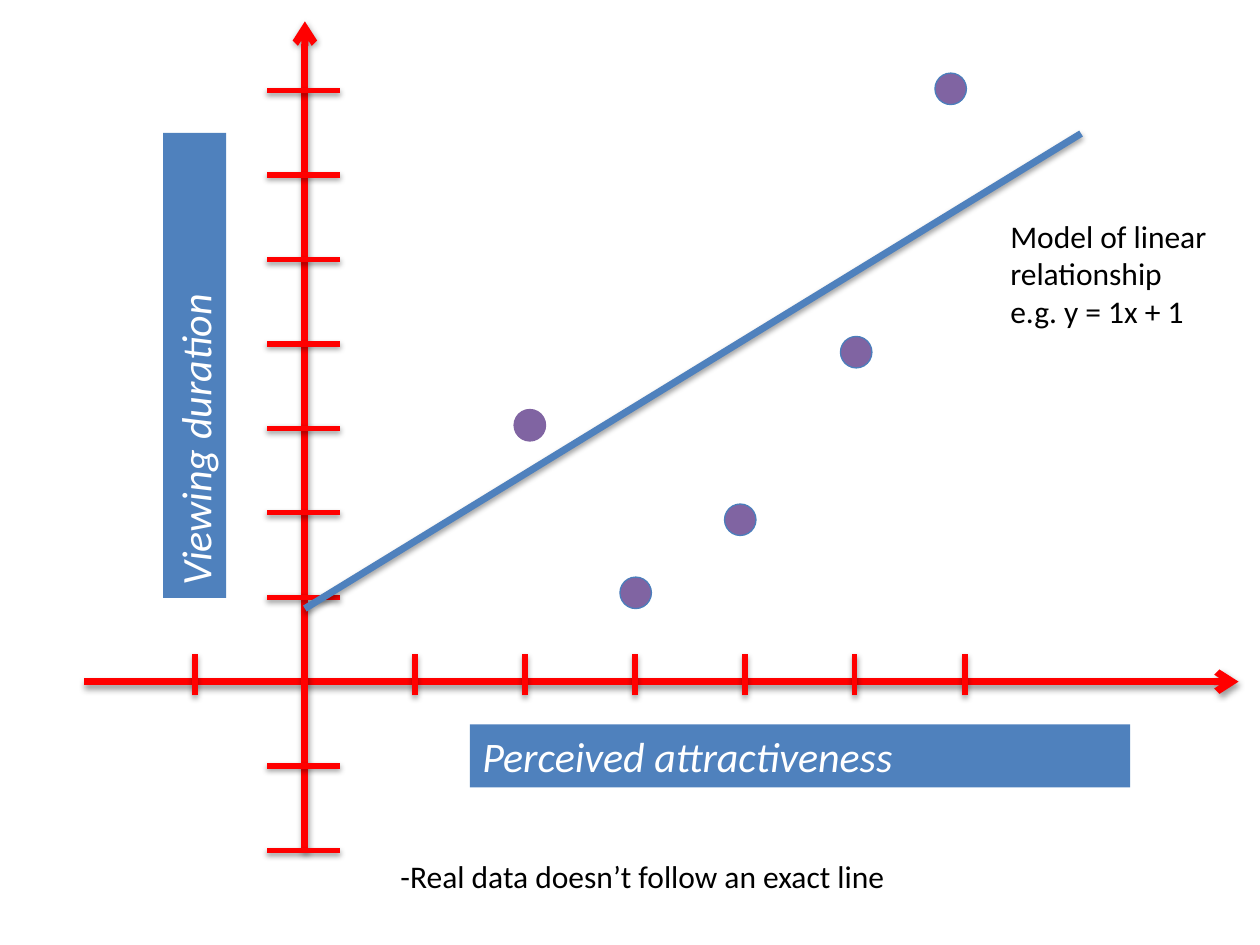
from lxml import etree
from pptx import Presentation
from pptx.dml.color import RGBColor
from pptx.enum.shapes import MSO_CONNECTOR, MSO_SHAPE
from pptx.oxml import parse_xml
from pptx.oxml.ns import nsdecls, qn
from pptx.util import Inches, Pt

RED = RGBColor(0xFF, 0x00, 0x00)
BLUE = RGBColor(0x4F, 0x81, 0xBD)
EDGE = RGBColor(0x4B, 0x7E, 0xBC)
PURPLE = RGBColor(0x80, 0x64, 0xA2)
WHITE = RGBColor(0xFF, 0xFF, 0xFF)
BLACK = RGBColor(0x00, 0x00, 0x00)

SHADOW = (
    f'<a:effectLst {nsdecls("a")}>'
    '<a:outerShdw blurRad="40000" dist="20000" dir="5400000" rotWithShape="0">'
    '<a:srgbClr val="000000"><a:alpha val="38000"/></a:srgbClr>'
    '</a:outerShdw></a:effectLst>'
)


def add_line(slide, start, end, color, width, arrow=False):
    ends = [Inches(v) for v in (*start, *end)]
    line = slide.shapes.add_connector(MSO_CONNECTOR.STRAIGHT, *ends)
    line.line.color.rgb = color
    line.line.width = Pt(width)
    if arrow:
        etree.SubElement(line.line._ln, qn("a:tailEnd"), type="arrow")
    line._element.spPr.append(parse_xml(SHADOW))


def add_text(slide, box, lines, size, color, italic=None):
    text = slide.shapes.add_textbox(*[Inches(v) for v in box])
    frame = text.text_frame
    frame.word_wrap = True
    frame.text = "\n".join(lines)
    for para in frame.paragraphs:
        para.font.name = "Calibri"
        para.font.size = Pt(size)
        para.font.italic = italic
        para.font.color.rgb = color
    return text


def add_label(slide, box, words, turn=0):
    label = add_text(slide, box, [words], 24, WHITE, True)
    label.fill.solid()
    label.fill.fore_color.rgb = BLUE
    label.rotation = turn


def add_axes(slide, box):
    left, top, width, height = box
    zero_x, zero_y = left + 1.75, top + 5.24
    step_x, step_y = 0.873, 0.67
    add_line(slide, (left, zero_y), (left + width, zero_y), RED, 4, True)
    add_line(slide, (zero_x, top + height), (zero_x, top), RED, 4, True)
    for n in (-1, 1, 2, 3, 4, 5, 6):
        x = zero_x + n * step_x
        add_line(slide, (x, zero_y + 0.11), (x, zero_y - 0.22), RED, 3)
    for n in (-2, -1, 1, 2, 3, 4, 5, 6, 7):
        y = zero_y - n * step_y
        add_line(slide, (zero_x - 0.3, y), (zero_x + 0.28, y), RED, 3)
    add_label(slide, (left + 3.06, top + 5.58, 5.24, 0.5),
              "Perceived attractiveness")
    add_label(slide, (left - 0.97, top + 2.48, 3.69, 0.5),
              "Viewing duration", 270)


def add_dots(slide, box):
    left, top, size = box
    spots = [(0, 2.67, PURPLE), (1.67, 3.42, EDGE), (0.84, 4, EDGE),
             (2.59, 2.09, EDGE), (3.34, 0, EDGE)]
    for x, y, edge in spots:
        dot = slide.shapes.add_shape(
            MSO_SHAPE.OVAL, Inches(left + x), Inches(top + y),
            Inches(size), Inches(size))
        dot.shadow.inherit = False
        dot.fill.solid()
        dot.fill.fore_color.rgb = PURPLE
        dot.line.color.rgb = edge
        dot.line.width = Pt(0.75)


def add_model(slide, box):
    left, top, width, height = box
    add_line(slide, (left, top + height), (left + width, top), BLUE, 4)
    add_text(slide, (left + 5.5, top + 0.61, 1.91, 1.01),
             ["Model of linear relationship", "e.g. y = 1x + 1"], 18, BLACK)


def main():
    deck = Presentation()
    deck.slide_width, deck.slide_height = Inches(10), Inches(7.5)
    slide = deck.slides.add_slide(deck.slide_layouts[6])
    add_axes(slide, (0.67, 0.17, 9.16, 6.58))
    add_dots(slide, (4.08, 0.58, 0.25))
    add_model(slide, (2.42, 1.06, 6.16, 3.77))
    add_text(slide, (3.08, 6.75, 6.75, 0.4),
             ["-Real data doesn’t follow an exact line"], 18, BLACK)
    deck.save("out.pptx")


if __name__ == "__main__":
    main()
